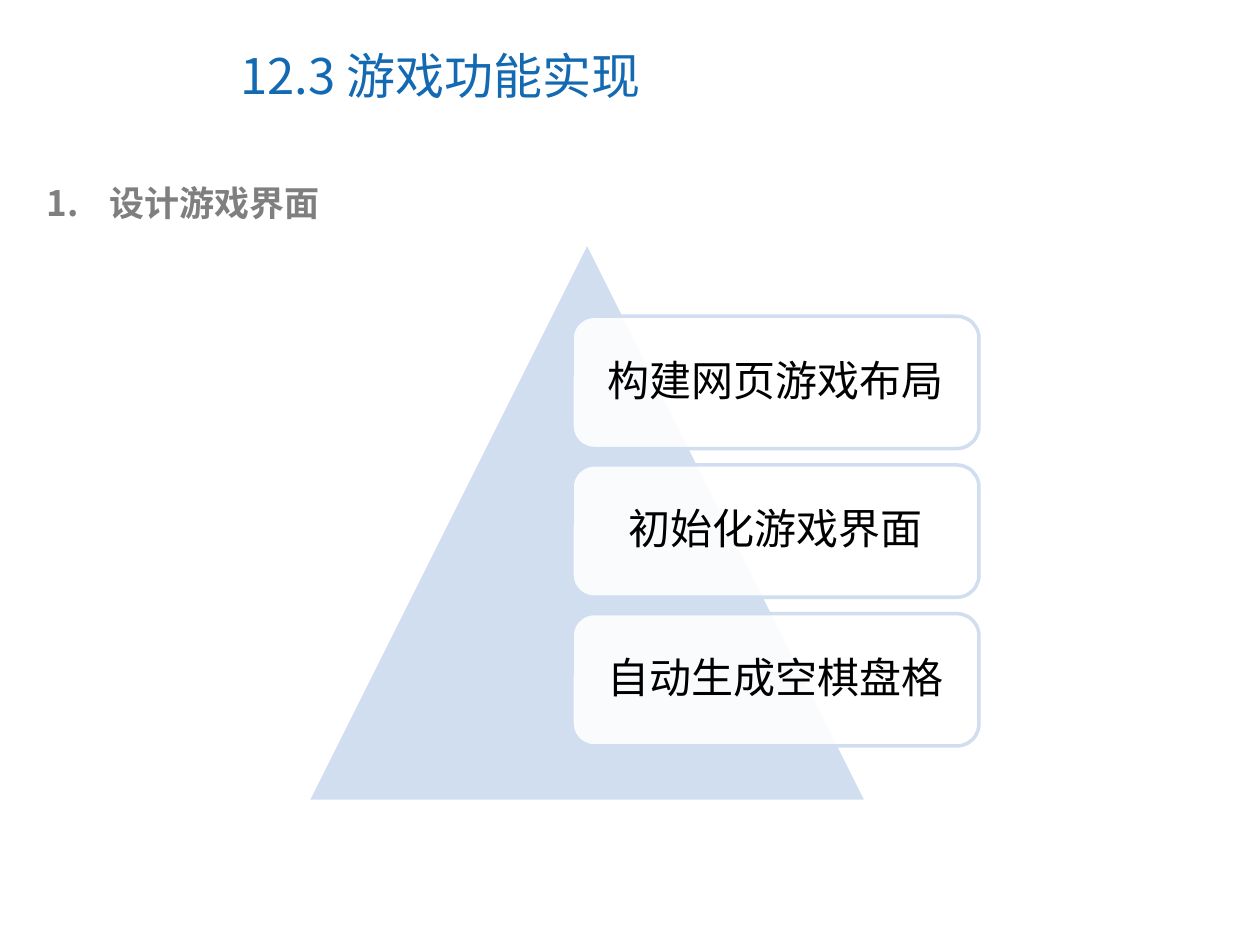
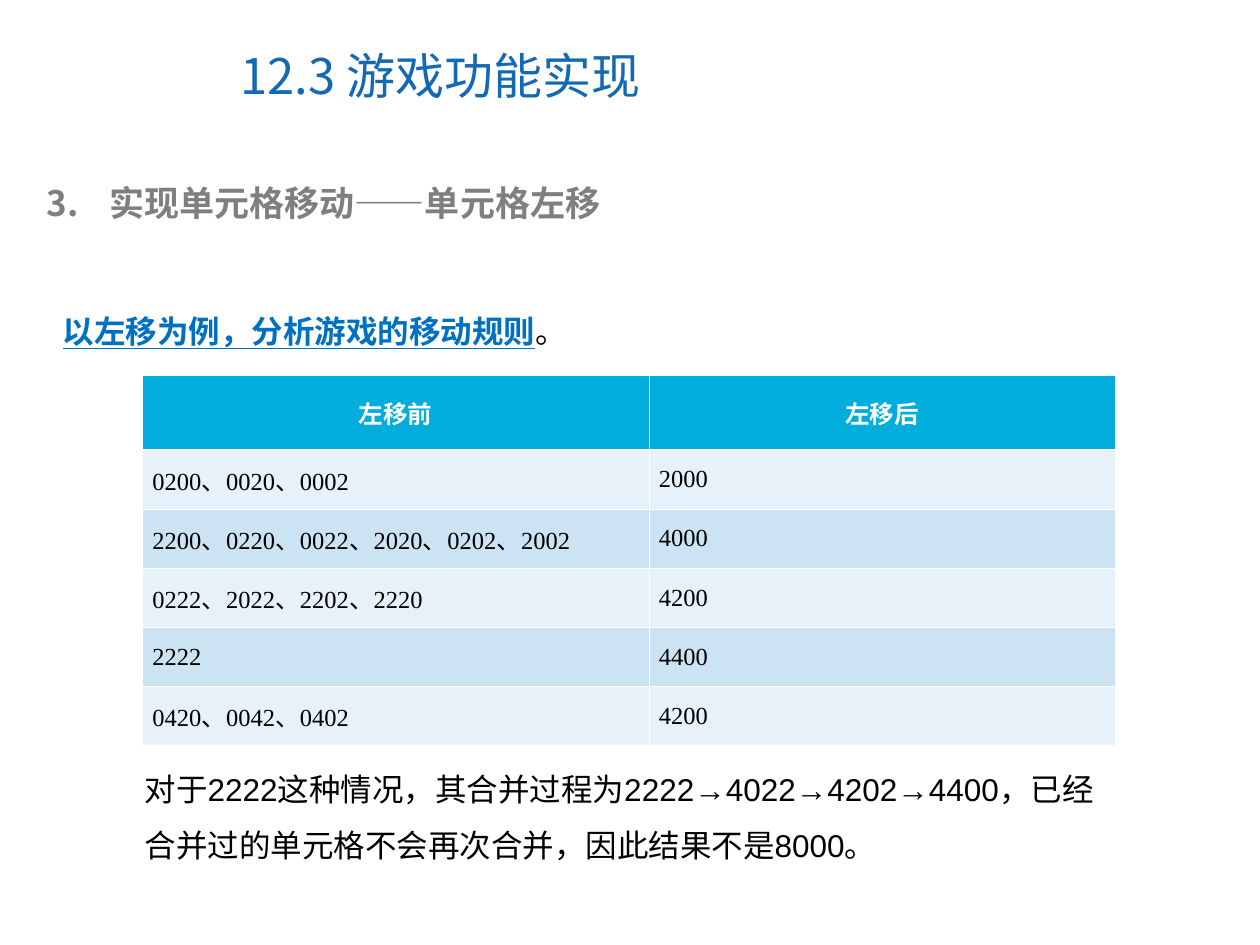
from dataclasses import dataclass

from lxml import etree
from pptx import Presentation
from pptx.dml.color import RGBColor
from pptx.enum.shapes import MSO_SHAPE
from pptx.enum.text import MSO_ANCHOR, PP_ALIGN
from pptx.oxml.ns import qn
from pptx.util import Inches, Pt

TRIANGLE = MSO_SHAPE.ISOSCELES_TRIANGLE
ROUNDED = MSO_SHAPE.ROUNDED_RECTANGLE
CENTER, LEFT = PP_ALIGN.CENTER, PP_ALIGN.LEFT
MIDDLE, TOP = MSO_ANCHOR.MIDDLE, MSO_ANCHOR.TOP

WHITE = RGBColor(0xFF, 0xFF, 0xFF)
BLACK = RGBColor(0x00, 0x00, 0x00)
TITLE_BLUE = RGBColor(0x13, 0x69, 0xB2)
HEADING_GRAY = RGBColor(0x7F, 0x7F, 0x7F)
PALE_BLUE = RGBColor(0xD0, 0xDE, 0xF0)
LINK_BLUE = RGBColor(0x00, 0x70, 0xC0)
HEADER_CYAN = RGBColor(0x00, 0xAD, 0xDC)
BAND_LIGHT = RGBColor(0xE7, 0xF1, 0xF9)
BAND_DARK = RGBColor(0xCB, 0xE3, 0xF2)

CJK_FONT = "Noto Sans CJK SC"
BODY_FONT = "Arial"
TABLE_FONT = "Times New Roman"

SLIDE_WIDTH, SLIDE_HEIGHT = Inches(10), Inches(7.5)
COLUMN = SLIDE_WIDTH / 100
ROW = SLIDE_HEIGHT / 75

TITLE = "12.3 游戏功能实现"
STEPS = ["构建网页游戏布局", "初始化游戏界面", "自动生成空棋盘格"]
STEP_PITCH = 11.8
MOVES = [
    ("左移前", "左移后"),
    ("0200、0020、0002", "2000"),
    ("2200、0220、0022、2020、0202、2002", "4000"),
    ("0222、2022、2202、2220", "4200"),
    ("2222", "4400"),
    ("0420、0042、0402", "4200"),
]
MOVE_COLUMNS = (40.2, 37)
HEADER_ROWS, MOVE_ROWS = 5.9, 4.7
THIN, THICK = 0.45, 1.47


@dataclass
class Area:
    column: float
    row: float
    columns: float
    rows: float

    def lengths(self) -> tuple:
        return (round(self.column * COLUMN), round(self.row * ROW),
                round(self.columns * COLUMN), round(self.rows * ROW))


TITLE_AREA = Area(18.1, 1.7, 51.6, 8.5)
HEADING_AREA = Area(2.7, 13.9, 92.2, 4.4)
PYRAMID_AREA = Area(24.4, 19.2, 44.4, 44.4)
STEP_AREA = Area(45.4, 25.1, 32.3, 10.5)
RULE_AREA = Area(4, 21.3, 91.9, 7)
MOVES_AREA = Area(11.3, 29.8, sum(MOVE_COLUMNS), HEADER_ROWS + 5 * MOVE_ROWS)
NOTE_AREA = Area(10.5, 59.1, 78.7, 10)


def add_span(para, text: str, *, size=18, font=BODY_FONT, color=BLACK,
             bold=False, underline=False) -> None:
    span = para.add_run()
    span.text = text
    span.font.size = Pt(size)
    span.font.name = font
    span.font.bold = bold
    span.font.underline = underline
    span.font.color.rgb = color
    east_asian = etree.SubElement(span.font._element, qn("a:ea"))
    east_asian.set("typeface", CJK_FONT)


def write_text(frame, text: str, *, align=LEFT, anchor=TOP, spacing=1.0,
               **span_format):
    frame.word_wrap = True
    frame.vertical_anchor = anchor
    para = frame.paragraphs[0]
    para.alignment = align
    para.line_spacing = spacing
    add_span(para, text, **span_format)
    return para


def add_text(page, area: Area, text: str, **text_format):
    box = page.shapes.add_textbox(*area.lengths())
    return write_text(box.text_frame, text, **text_format)


def add_shape(page, kind, area: Area, fill: RGBColor, line: RGBColor):
    shape = page.shapes.add_shape(kind, *area.lengths())
    shape.shadow.inherit = False
    shape.fill.solid()
    shape.fill.fore_color.rgb = fill
    shape.line.color.rgb = line
    shape.line.width = Pt(2)
    return shape


def number_paragraph(para, number: int) -> None:
    properties = para._p.get_or_add_pPr()
    properties.set("marL", str(Inches(0.5)))
    properties.set("indent", str(-Inches(0.5)))
    bullet_color = etree.SubElement(properties, qn("a:buClr"))
    etree.SubElement(bullet_color, qn("a:srgbClr")).set("val", str(HEADING_GRAY))
    etree.SubElement(properties, qn("a:buFont")).set("typeface", CJK_FONT)
    numbering = etree.SubElement(properties, qn("a:buAutoNum"))
    numbering.set("type", "arabicPeriod")
    numbering.set("startAt", str(number))


def add_page(deck, number: int, heading: str):
    page = deck.slides.add_slide(deck.slide_layouts[6])
    add_text(page, TITLE_AREA, TITLE, anchor=MIDDLE, size=28, font=CJK_FONT,
             color=TITLE_BLUE)
    para = add_text(page, HEADING_AREA, heading, size=20, font=CJK_FONT,
                    color=HEADING_GRAY, bold=True)
    number_paragraph(para, number)
    return page


def add_step(page, index: int, text: str) -> None:
    area = Area(STEP_AREA.column, STEP_AREA.row + index * STEP_PITCH,
                STEP_AREA.columns, STEP_AREA.rows)
    box = add_shape(page, ROUNDED, area, WHITE, PALE_BLUE)
    color = box.fill._xPr.find(qn("a:solidFill"))[0]
    etree.SubElement(color, qn("a:alpha")).set("val", "90000")
    write_text(box.text_frame, text, align=CENTER, anchor=MIDDLE,
               spacing=0.9, size=24).space_after = Pt(10.5)


def border_cell(cell, top: float, bottom: float) -> None:
    properties = cell._tc.get_or_add_tcPr()
    sides = {"a:lnL": THIN, "a:lnR": THIN, "a:lnT": top, "a:lnB": bottom}
    for position, (side, width) in enumerate(sides.items()):
        line = etree.Element(qn(side), w=str(Pt(width)))
        fill = etree.SubElement(line, qn("a:solidFill"))
        etree.SubElement(fill, qn("a:srgbClr")).set("val", str(WHITE))
        properties.insert(position, line)


def fill_cell(cell, text: str, row: int) -> None:
    cell.fill.solid()
    cell.margin_left = cell.margin_right = Inches(0.08)
    if row == 0:
        cell.fill.fore_color.rgb = HEADER_CYAN
        text_format = dict(align=CENTER, font=CJK_FONT, color=WHITE, bold=True)
    else:
        cell.fill.fore_color.rgb = BAND_LIGHT if row % 2 else BAND_DARK
        text_format = dict(font=TABLE_FONT)
    write_text(cell.text_frame, text, size=14, **text_format)
    cell.vertical_anchor = MIDDLE
    border_cell(cell, THICK if row == 1 else THIN, THICK if row == 0 else THIN)


def add_moves_table(page) -> None:
    frame = page.shapes.add_table(len(MOVES), len(MOVE_COLUMNS),
                                  *MOVES_AREA.lengths())
    table = frame.table
    for column, width in zip(table.columns, MOVE_COLUMNS):
        column.width = round(width * COLUMN)
    for row, texts in enumerate(MOVES):
        table.rows[row].height = round((MOVE_ROWS if row else HEADER_ROWS) * ROW)
        for column, text in enumerate(texts):
            fill_cell(table.cell(row, column), text, row)


def build_interface_page(deck) -> None:
    page = add_page(deck, 1, "设计游戏界面")
    add_shape(page, TRIANGLE, PYRAMID_AREA, PALE_BLUE, WHITE)
    for index, step in enumerate(STEPS):
        add_step(page, index, step)


def build_moves_page(deck) -> None:
    page = add_page(deck, 3, "实现单元格移动——单元格左移")
    rule = add_text(page, RULE_AREA, "以左移为例，分析游戏的移动规则", spacing=2.0,
                    color=LINK_BLUE, bold=True, underline=True)
    add_span(rule, "。")
    add_moves_table(page)
    add_text(page, NOTE_AREA,
             "对于2222这种情况，其合并过程为2222→4022→4202→4400，"
             "已经合并过的单元格不会再次合并，因此结果不是8000。", spacing=1.5)


def main() -> None:
    deck = Presentation()
    deck.slide_width, deck.slide_height = SLIDE_WIDTH, SLIDE_HEIGHT
    build_interface_page(deck)
    build_moves_page(deck)
    deck.save("out.pptx")


if __name__ == "__main__":
    main()
